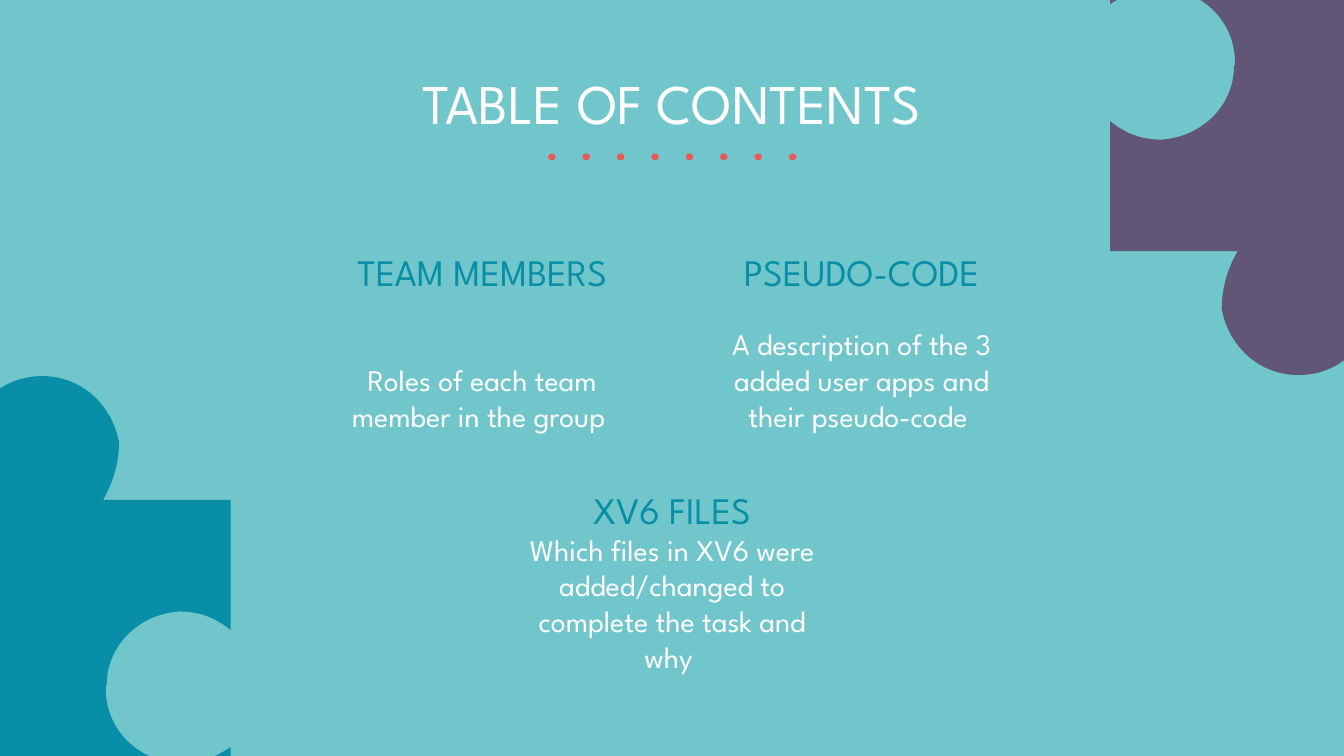
import pptx
import pptx.util
import pptx.dml.color
import pptx.enum.shapes
import pptx.enum.text
import pptx.oxml.ns
import lxml.etree

Cm = pptx.util.Cm
qn = pptx.oxml.ns.qn
FONT = "League Spartan"
TEAL, WHITE, PURPLE, CORAL = "088EA7", "FFFFFF", "625676", "EB5858"


def color(hex_value):
    return pptx.dml.color.RGBColor.from_string(hex_value)


def set_text(box, left, top, width, height, text, size, hex_value, anchor):
    box.left, box.top, box.width, box.height = Cm(left), Cm(top), Cm(width), Cm(height)
    frame = box.text_frame
    frame.text = text
    frame.word_wrap = True
    frame.auto_size = pptx.enum.text.MSO_AUTO_SIZE.NONE
    frame.vertical_anchor = anchor
    frame.margin_left = frame.margin_right = Cm(0.25)
    frame.margin_top = frame.margin_bottom = Cm(0.25)
    paragraph = frame.paragraphs[0]
    paragraph.alignment = pptx.enum.text.PP_ALIGN.CENTER
    paragraph.space_before = pptx.util.Pt(0)
    properties = paragraph._p.get_or_add_pPr()
    properties.set("marL", "0")
    properties.set("indent", "0")
    lxml.etree.SubElement(properties, qn("a:buNone"))
    font = paragraph.runs[0].font
    font.name, font.size, font.bold = FONT, pptx.util.Pt(size), False
    font.color.rgb = color(hex_value)


presentation = pptx.Presentation()
presentation.slide_width, presentation.slide_height = Cm(25.4), Cm(14.29)
slide = presentation.slides.add_slide(presentation.slide_layouts[4])
slide.background.fill.solid()
slide.background.fill.fore_color.rgb = color("71C6CB")

puzzle_outline = [
    [(20.98, -2.39)],
    [(27.23, -2.39)],
    [(27.71, -2.39), (28.09, -1.98), (28.09, -1.5)],
    [(28.09, 4.75)],
    [(25.68, 4.75)],
    [(25.88, 5.03), (25.98, 5.33), (25.98, 5.64)],
    [(25.98, 6.4), (25.4, 7.09), (24.54, 7.09)],
    [(23.8, 7.09), (23.22, 6.55), (23.09, 5.84)],
    [(23.09, 5.41), (23.22, 5.05), (23.39, 4.75)],
    [(20.98, 4.75)],
    [(20.98, 2.29)],
    [(21.29, 2.54), (21.59, 2.64), (21.95, 2.64)],
    [(22.73, 2.59), (23.32, 1.98), (23.32, 1.27)],
    [(23.34, 1.24), (23.34, 1.19), (23.34, 1.17)],
    [(23.34, 0.38), (22.68, -0.23), (21.89, -0.23)],
    [(21.59, -0.23), (21.29, -0.13), (20.98, 0.08)],
]
turned_outline = [[(25.34 - x, 14.2 - y) for x, y in segment] for segment in puzzle_outline]

for outline, hex_value in ((puzzle_outline, PURPLE), (turned_outline, TEAL)):
    corners = [(Cm(segment[-1][0]), Cm(segment[-1][1])) for segment in outline]
    builder = slide.shapes.build_freeform(*corners[0])
    builder.add_line_segments(corners[1:], close=False)
    piece = builder.convert_to_shape()
    piece.shadow.inherit = False
    piece.fill.solid()
    piece.fill.fore_color.rgb = color(hex_value)
    piece.line.fill.background()
    lines = list(piece._element.iter(qn("a:lnTo")))
    for line, segment in zip(lines, outline[1:]):
        if len(segment) == 3:
            line.tag = qn("a:cubicBezTo")
            line.clear()
            for x, y in segment:
                lxml.etree.SubElement(line, qn("a:pt"), x=str(Cm(x) - piece.left),
                                      y=str(Cm(y) - piece.top))
    lxml.etree.SubElement(lines[-1].getparent(), qn("a:close"))

TOP = pptx.enum.text.MSO_ANCHOR.TOP
BOTTOM = pptx.enum.text.MSO_ANCHOR.BOTTOM
set_text(slide.shapes.title, 5.46, 1.04, 14.48, 2.13, "TABLE OF CONTENTS", 30, WHITE, TOP)

dotted_rule = slide.shapes.add_group_shape()
for index in range(8):
    dot = dotted_rule.shapes.add_shape(
        pptx.enum.shapes.MSO_SHAPE.OVAL, Cm(10.36 + 0.65 * index), Cm(2.9), Cm(0.14), Cm(0.13))
    dot.shadow.inherit = False
    dot.fill.solid()
    dot.fill.fore_color.rgb = color(CORAL)
    dot.line.fill.background()

sections = [
    (6.04, 4.45, 5.75, "TEAM MEMBERS", "Roles of each team member in the group "),
    (13.21, 4.45, 5.75, "PSEUDO-CODE",
     "A description of the 3 added user apps and their pseudo-code "),
    (9.63, 8.95, 10.31, "XV6 FILES",
     "Which files in XV6 were added/changed to complete the task and why "),
]
template_boxes = [slide.placeholders[index] for index in (1, 2, 3, 4)]
added_boxes = [slide.shapes.add_textbox(0, 0, 0, 0) for part in ("heading", "description")]
section_boxes = template_boxes + added_boxes
for index, (left, heading_top, description_top, heading, description) in enumerate(sections):
    heading_box, description_box = section_boxes[2 * index:2 * index + 2]
    set_text(heading_box, left, heading_top, 6.15, 1.17, heading, 20, TEAL, TOP)
    set_text(description_box, left, description_top, 6.15, 2.69, description, 16, WHITE, BOTTOM)

presentation.save("out.pptx")
